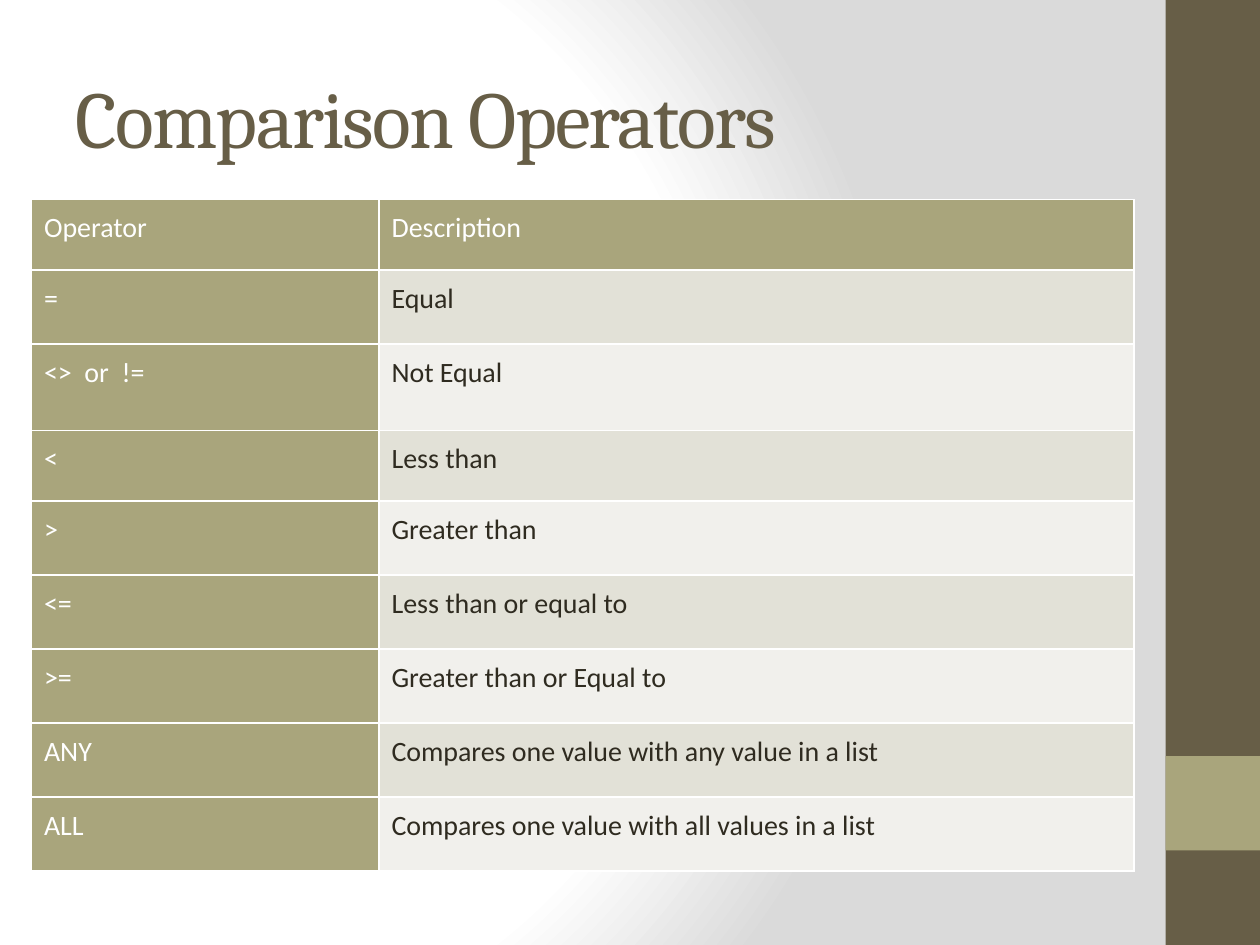
import pptx
import pptx.util
import pptx.oxml
import pptx.oxml.ns
import pptx.dml.color
import pptx.enum.shapes
import pptx.enum.text

Pt = pptx.util.Pt
COLORS = {"brown": "675E47", "olive": "A9A57C", "white": "FFFFFF",
          "gray": "DADADA", "ink": "2F2B20", "band": "E2E1D7", "light": "F1F0EC"}
ROWS = [
    ("Operator", "Description"),
    ("=", "Equal"),
    ("<>  or  !=", "Not Equal"),
    ("<", "Less than"),
    (">", "Greater than"),
    ("<=", "Less than or equal to"),
    (">=", "Greater than or Equal to"),
    ("ANY", "Compares one value with any value in a list"),
    ("ALL", "Compares one value with all values in a list"),
]
COL_WIDTHS = [198.6, 431.4]
ROW_HEIGHTS = [40.3, 42.3, 49.4, 40.3] + [42.3] * 5
NS = pptx.oxml.ns.nsdecls("a", "p")


def rgb(name):
    return pptx.dml.color.RGBColor.from_string(COLORS[name])


def set_font(p, name, size, color):
    p.font.name = name
    p.font.size = Pt(size)
    p.font.color.rgb = rgb(color)


prs = pptx.Presentation()
prs.slide_width, prs.slide_height = Pt(720), Pt(540)
s = prs.slides.add_slide(prs.slide_layouts[6])

# Radial background
stops = "".join(
    f'<a:gs pos="{pos * 1000}"><a:srgbClr val="{COLORS[color]}"/></a:gs>'
    for pos, color in [(0, "white"), (75, "white"), (100, "gray")])
bg = pptx.oxml.parse_xml(
    f'<p:bg {NS}><p:bgPr><a:gradFill rotWithShape="1"><a:gsLst>{stops}</a:gsLst>'
    '<a:path path="circle"><a:fillToRect l="20000" t="50000" r="100000" b="50000"/></a:path>'
    '</a:gradFill><a:effectLst/></p:bgPr></p:bg>')
s.element.cSld.insert(0, bg)

# Side bar and its accent square
for top, height, color in [(0, 540, "brown"), (432, 54, "olive")]:
    sp = s.shapes.add_shape(pptx.enum.shapes.MSO_SHAPE.RECTANGLE,
                            Pt(666), Pt(top), Pt(54), Pt(height))
    sp.shadow.inherit = False
    sp.fill.solid()
    sp.fill.fore_color.rgb = rgb(color)
    sp.line.fill.background()

# Title
title = s.shapes.add_textbox(Pt(36), Pt(21.6), Pt(600), Pt(90))
tf = title.text_frame
tf.word_wrap = True
tf.vertical_anchor = pptx.enum.text.MSO_ANCHOR.MIDDLE
p = tf.paragraphs[0]
r = p.add_run()
r.text = "Comparison Operators"
set_font(p, "Cambria", 46, "brown")
r.font.size = Pt(46)
r.font._element.set("spc", "-100")

# Operator table
table = s.shapes.add_table(len(ROWS), len(COL_WIDTHS), Pt(18), Pt(114),
                           Pt(sum(COL_WIDTHS)), Pt(sum(ROW_HEIGHTS))).table
for column, width in zip(table.columns, COL_WIDTHS):
    column.width = Pt(width)
for i, (row, height, texts) in enumerate(zip(table.rows, ROW_HEIGHTS, ROWS)):
    row.height = Pt(height)
    for j, (cell, text) in enumerate(zip(row.cells, texts)):
        heading = i == 0 or j == 0
        cell.text = text
        p = cell.text_frame.paragraphs[0]
        p.line_spacing = 1.15
        p.space_after = Pt(10)
        set_font(p, "Calibri", 16, "white" if heading else "ink")
        # Borders come before the fill in the cell properties
        tcPr = cell._tc.get_or_add_tcPr()
        for side in ("lnL", "lnR", "lnT", "lnB"):
            tcPr.append(pptx.oxml.parse_xml(
                f'<a:{side} {NS} w="{Pt(1)}"><a:solidFill>'
                f'<a:srgbClr val="{COLORS["white"]}"/></a:solidFill></a:{side}>'))
        cell.fill.solid()
        cell.fill.fore_color.rgb = rgb(
            "olive" if heading else "band" if i % 2 else "light")

prs.save("out.pptx")
